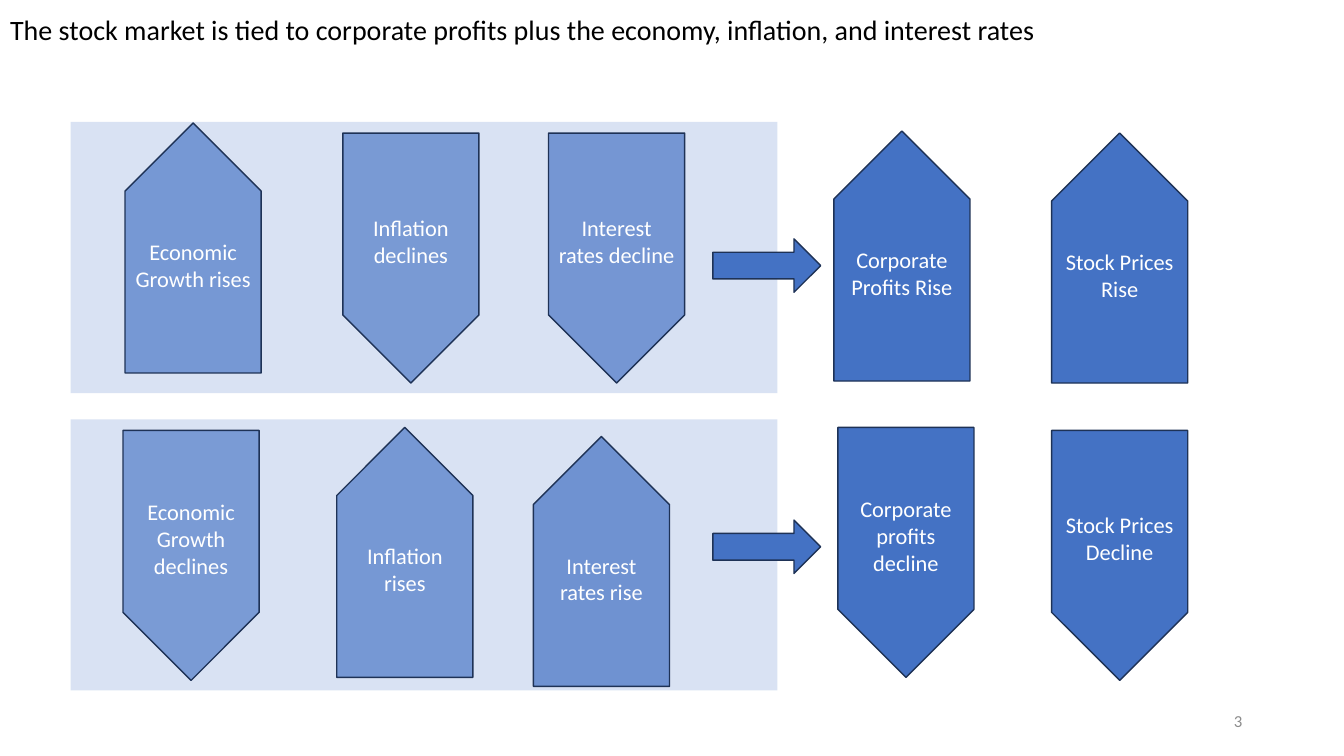
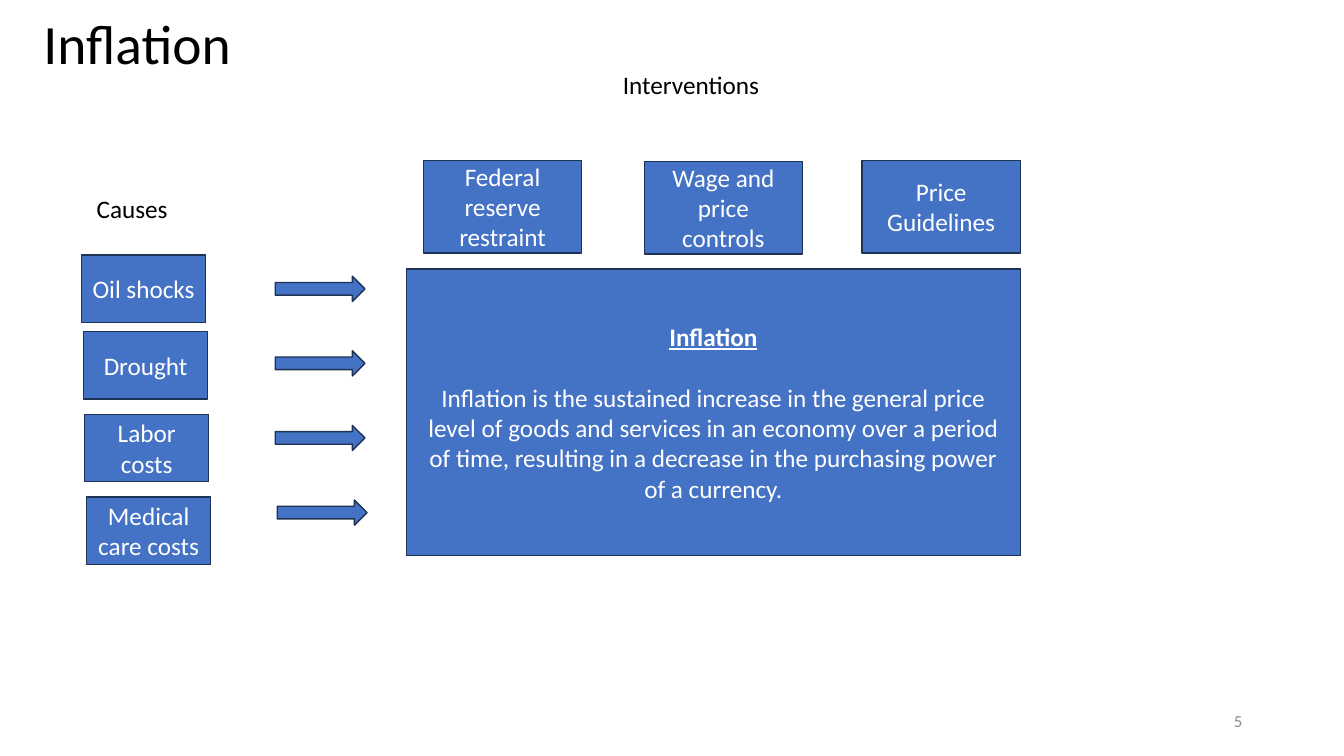
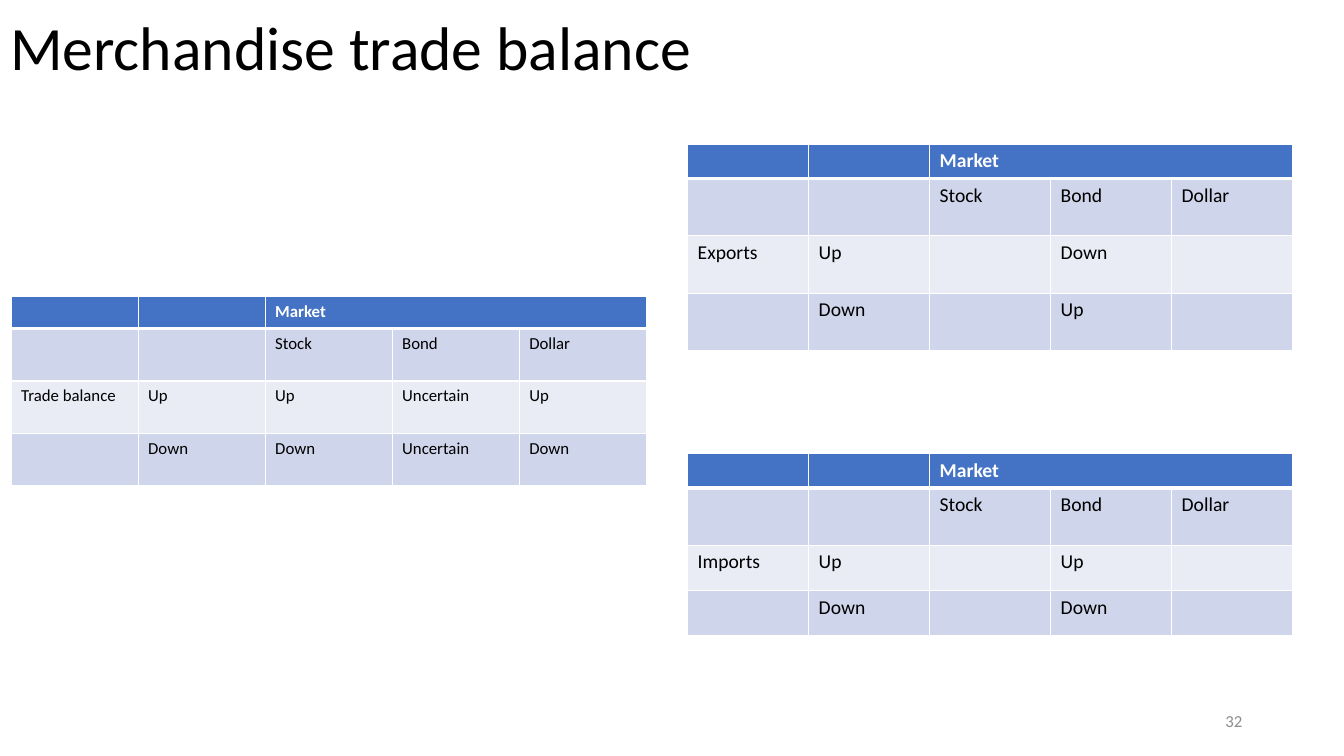
import pptx
import pptx.util
import pptx.dml.color
import pptx.enum.shapes
import pptx.enum.text
import pptx.oxml.ns
from lxml import etree

Inches = pptx.util.Inches
Pt = pptx.util.Pt
RGB = pptx.dml.color.RGBColor.from_string
SHAPES = pptx.enum.shapes.MSO_SHAPE
ALIGN = pptx.enum.text.PP_ALIGN
MIDDLE = pptx.enum.text.MSO_ANCHOR.MIDDLE
qn = pptx.oxml.ns.qn

COLORS = {"blue": "4472C4", "outline": "1E3256", "white": "FFFFFF", "black": "000000",
          "gray": "8C8C8C", "band": "CFD5EA", "pale": "E9EBF5"}


def write(paragraph, text, size, color, align=ALIGN.LEFT, **font_format):
    paragraph.alignment = align
    run = paragraph.add_run()
    run.text = text
    run.font.color.rgb = RGB(COLORS[color])
    for name, value in {"name": "Calibri", "size": Pt(size), **font_format}.items():
        setattr(run.font, name, value)


def add_block(slide, kind, box, text="", size=18, opacity=100, outlined=True):
    """Add a blue shape with centred white text; opacity is in percent."""
    block = slide.shapes.add_shape(kind, *map(Inches, box))
    block.shadow.inherit = False
    block.fill.solid()
    block.fill.fore_color.rgb = RGB(COLORS["blue"])
    if opacity < 100:
        tint = block._element.spPr.find(".//" + qn("a:srgbClr"))
        etree.SubElement(tint, qn("a:alpha"), val=str(opacity * 1000))
    if outlined:
        block.line.color.rgb = RGB(COLORS["outline"])
        block.line.width = Pt(1)
    else:
        block.line.fill.background()
    block.text_frame.word_wrap = True
    block.text_frame.vertical_anchor = MIDDLE
    if text:
        write(block.text_frame.paragraphs[0], text, size, "white", ALIGN.CENTER)
    return block


deck = pptx.Presentation()
deck.slide_width, deck.slide_height = Inches(13.33), Inches(7.5)

# Titles and slide numbers
slides = []
for heading, size, left, top, height, number in [
    ("The stock market is tied to corporate profits plus the economy, inflation, "
     "and interest rates", 20, 0, -0.06, 0.74, "3"),
    ("Inflation", 39.6, 0.33, 0.13, 0.67, "5"),
    ("Merchandise trade balance", 44, 0, 0.05, 0.91, "32"),
]:
    slide = deck.slides.add_slide(deck.slide_layouts[5])
    slides.append(slide)
    title = slide.shapes.title
    title.left, title.top, title.width, title.height = map(Inches, (left, top, 11.5, height))
    title.text_frame.auto_size = pptx.enum.text.MSO_AUTO_SIZE.NONE
    title.text_frame.vertical_anchor = MIDDLE
    title.text_frame.paragraphs[0].line_spacing = 0.9
    write(title.text_frame.paragraphs[0], heading, size, "black")
    footer = slide.shapes.add_textbox(*map(Inches, (9.42, 6.95, 3, 0.4))).text_frame
    footer.word_wrap = True
    footer.vertical_anchor = MIDDLE
    write(footer.paragraphs[0], number, 12, "gray", ALIGN.RIGHT)
market, inflation, trade = slides

# Stock market: drivers on a pale panel lead to profits and prices
for panel_top, arrow_top in [(1.21, 2.37), (4.16, 5.16)]:
    add_block(market, SHAPES.RECTANGLE, (0.7, panel_top, 7.01, 2.69),
              opacity=20, outlined=False)
    add_block(market, SHAPES.RIGHT_ARROW, (7.07, arrow_top, 1.07, 0.53))

LENGTH, BREADTH = 2.48, 1.35
turn_shift = (LENGTH - BREADTH) / 2
for text, points_up, left, top, opacity in [
    ("Economic Growth rises", True, 1.24, 1.22, 66),
    ("Inflation declines", False, 3.4, 1.32, 64),
    ("Interest rates decline", False, 5.44, 1.32, 67),
    ("Corporate Profits Rise", True, 8.27, 1.3, 100),
    ("Stock Prices Rise", True, 10.43, 1.32, 100),
    ("Economic Growth declines", False, 1.22, 4.27, 63),
    ("Inflation rises", True, 3.34, 4.24, 66),
    ("Interest rates rise", True, 5.29, 4.33, 71),
    ("Corporate profits decline", False, 8.31, 4.24, 100),
    ("Stock Prices Decline", False, 10.43, 4.27, 100),
]:
    box = (left - turn_shift, top + turn_shift, LENGTH, BREADTH)
    trend = add_block(market, SHAPES.PENTAGON, box, text, 16, opacity)
    trend.rotation = 270 if points_up else 90
    # Counter-turn the text so that it reads level
    trend.text_frame._txBody.bodyPr.set("vert", "vert" if points_up else "vert270")
    if text == "Interest rates rise":
        trend.text_frame.paragraphs[0].space_after = Pt(13)

# Inflation: causes on the left, interventions above
definition = add_block(inflation, SHAPES.FLOWCHART_PROCESS, (4.03, 2.67, 6.09, 2.84)).text_frame
write(definition.paragraphs[0], "Inflation", 18, "white", ALIGN.CENTER,
      bold=True, underline=True)
definition.paragraphs[0].space_after = Pt(22)
write(definition.add_paragraph(),
      "Inflation is the sustained increase in the general price level of goods and "
      "services in an economy over a period of time, resulting in a decrease in the "
      "purchasing power of a currency.", 18, "white", ALIGN.CENTER)

for row, (cause, left, top, arrow_left) in enumerate([
    ("Oil shocks", 0.81, 2.53, 2.73),
    ("Drought", 0.83, 3.29, 2.73),
    ("Labor costs", 0.84, 4.11, 2.73),
    ("Medical care costs", 0.86, 4.93, 2.75),
]):
    add_block(inflation, SHAPES.FLOWCHART_PROCESS, (left, top, 1.23, 0.67), cause)
    add_block(inflation, SHAPES.RIGHT_ARROW, (arrow_left, 2.74 + 0.74 * row, 0.89, 0.25))

for intervention, left, top in [
    ("Federal reserve restraint", 4.2, 1.59),
    ("Wage and price controls", 6.39, 1.6),
    ("Price Guidelines", 8.55, 1.59),
]:
    add_block(inflation, SHAPES.FLOWCHART_PROCESS, (left, top, 1.57, 0.92), intervention)

for label, box in [("Causes", (0.86, 1.87, 0.91, 0.4)),
                   ("Interventions", (6.08, 0.64, 1.57, 0.4))]:
    caption = inflation.shapes.add_textbox(*map(Inches, box)).text_frame
    caption.word_wrap = False
    write(caption.paragraphs[0], label, 18, "black")

# Trade balance: market reactions
for left, top, column_width, row_heights, size, indicator, when_up, when_down in [
    (0.11, 2.94, 1.26, (0.32, 0.52, 0.52, 0.52), 12, "Trade balance",
     ("Up", "Uncertain", "Up"), ("Down", "Uncertain", "Down")),
    (6.82, 1.43, 1.2, (0.34, 0.57, 0.57, 0.57), 14, "Exports",
     ("", "Down", ""), ("", "Up", "")),
    (6.82, 4.5, 1.2, (0.34, 0.57, 0.45, 0.45), 14, "Imports",
     ("", "Up", ""), ("", "Down", "")),
]:
    rows = [("", "", "Market", "", ""),
            ("", "", "Stock", "Bond", "Dollar"),
            (indicator, "Up", *when_up),
            ("", "Down", *when_down)]
    reactions = trade.shapes.add_table(
        4, 5, Inches(left), Inches(top),
        Inches(column_width * 5), Inches(sum(row_heights))).table
    for column in reactions.columns:
        column.width = Inches(column_width)
    reactions.cell(0, 2).merge(reactions.cell(0, 4))
    for r, (texts, height) in enumerate(zip(rows, row_heights)):
        reactions.rows[r].height = Inches(height)
        is_header = r == 0
        for c, text in enumerate(texts):
            cell = reactions.cell(r, c)
            borders = cell._tc.get_or_add_tcPr()
            for side in ("lnL", "lnR", "lnT", "lnB"):
                thick = (is_header and side == "lnB") or (r == 1 and side == "lnT")
                edge = etree.SubElement(borders, qn("a:" + side), w=str(Pt(3 if thick else 1)))
                paint = etree.SubElement(edge, qn("a:solidFill"))
                etree.SubElement(paint, qn("a:srgbClr"), val=COLORS["white"])
            cell.fill.solid()
            cell.fill.fore_color.rgb = RGB(COLORS[("blue", "band", "pale", "band")[r]])
            paragraph = cell.text_frame.paragraphs[0]
            if text:
                write(paragraph, text, size, "white" if is_header else "black", bold=is_header)
            else:
                # Keeps empty cells from stretching their row
                paragraph._p.get_or_add_endParaRPr().set("sz", str(size * 100))

deck.save("out.pptx")
